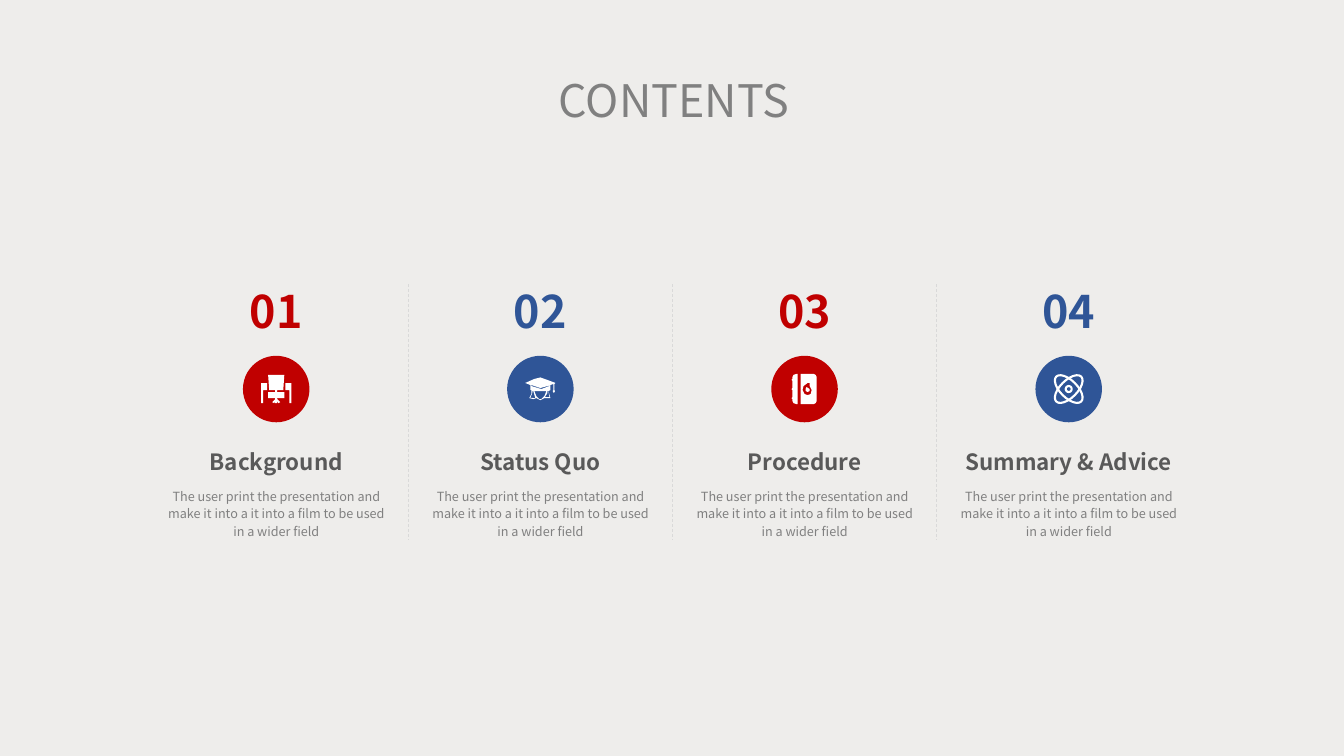
import functools

import lxml.etree
import pptx
import pptx.dml.color
import pptx.enum.dml
import pptx.enum.shapes
import pptx.enum.text
import pptx.oxml.ns
import pptx.util

Inches = pptx.util.Inches
OVAL = pptx.enum.shapes.MSO_SHAPE.OVAL
FONT = "Noto Sans CJK SC"
RED, BLUE, WHITE = "C00000", "2F5597", "FFFFFF"
DARK, GREY, PALE, PAPER = "595959", "808080", "D9D9D9", "EEEDEB"
SUMMARY = ("The user print the presentation and make it into a it into a film "
           "to be used in a wider field")
COLUMN_LEFT, COLUMN_TOP, COLUMN_WIDTH = 1.43, 2.77, 2.62


def color(value):
    return pptx.dml.color.RGBColor.from_string(value)


def mirror(points):
    return [(-x, y) for x, y in reversed(points)]


# Icon outlines, in hundredths of an inch from the centre of the disc.
DESK_LEFT = [(-15, -6), (-9, -6), (-9, 1), (-13, 1), (-13, 14), (-15, 14)]
CHAIR_HALF = [(8, -14), (7, 1), (1, 1), (1, 3), (8, 3), (8, 9), (1, 9), (1, 10),
              (4, 13), (2, 14), (1, 12), (1, 14)]
DESK = [DESK_LEFT, mirror(DESK_LEFT), CHAIR_HALF + mirror(CHAIR_HALF)]
GRADUATE = [
    [(-15, -6), (-6, -10), (0, -11.5), (7, -9), (15, -6), (13.8, -5), (13.8, 1),
     (14.5, 2), (13.5, 4), (12.2, 2), (13, 1), (13, -5), (10, -4), (10, 1), (8, 2),
     (10, 9), (4, 9), (0, 11), (-4, 9), (-7, 10), (-11, 9), (-9, 5), (-9, 1),
     (-10, 1), (-10, -4)],
    [(-5, 9), (-10, 8.7), (-8, 4), (-8, 2), (-7, 2)],
    [(-6, 2), (6, 2), (4, 7), (1, 10), (-1, 10), (-4, 7)],
    [(9, 8), (4.5, 8), (7, 4), (7, 2), (8, 2)],
    [(-9, -4), (0, -1), (9, -3.5), (9, -3), (1, 0), (-9, -3)],
]
NOTEBOOK = [
    [(-4, -15), (9, -15), (11, -14), (12, -12), (12, 12), (11, 14), (9, 15), (-4, 15)],
    [(-7, -15), (-8, -15), (-11, -14), (-12, -12), (-12, -10), (-13, -9), (-12, -8),
     (-12, -1), (-13, 0), (-12, 1), (-12, 8), (-13, 9), (-12, 10), (-12, 12),
     (-11, 14), (-8, 15), (-7, 15)],
    [(5, -6), (3, -6), (-1, -3), (-2, 1), (0, 5), (3, 6), (6, 5), (7, 1), (5, -3)],
    [(2, -2), (5, 0), (5, 2), (3, 3), (1, 2), (1, 0)],
]


def write(box, text, ink, line_spacing=None, **font):
    frame = box.text_frame
    frame.word_wrap = True
    frame.auto_size = pptx.enum.text.MSO_AUTO_SIZE.SHAPE_TO_FIT_TEXT
    frame.vertical_anchor = pptx.enum.text.MSO_ANCHOR.TOP
    para = frame.paragraphs[0]
    para.alignment = pptx.enum.text.PP_ALIGN.CENTER
    para.line_spacing = line_spacing
    span = para.add_run()
    span.text = text
    for name, value in {"name": FONT, **font}.items():
        setattr(span.font, name, value)
    span.font.color.rgb = color(ink)


def paint(shape, fill):
    shape.shadow.inherit = False
    shape.fill.solid()
    shape.fill.fore_color.rgb = color(fill)
    shape.line.fill.background()


def add_oval(shapes, center, middle, width, height):
    return shapes.add_shape(OVAL, Inches(center - width / 2), Inches(middle - height / 2),
                            Inches(width), Inches(height))


def add_outline_icon(shapes, center, middle, contours):
    scaled = [[(Inches(x / 100), Inches(y / 100)) for x, y in contour]
              for contour in contours]
    builder = shapes.build_freeform(*scaled[0][0], scale=1.0)
    for contour in scaled:
        if contour is not scaled[0]:
            builder.move_to(*contour[0])
        builder.add_line_segments(contour[1:], close=True)
    paint(builder.convert_to_shape(Inches(center), Inches(middle)), WHITE)


def add_atom_icon(shapes, center, middle):
    for width, height, turn in [(0.35, 0.17, 45), (0.35, 0.17, -45), (0.06, 0.06, 0)]:
        ring = add_oval(shapes, center, middle, width, height)
        ring.rotation = turn
        ring.shadow.inherit = False
        ring.fill.background()
        ring.line.color.rgb = color(WHITE)
        ring.line.width = pptx.util.Pt(1.5)


# Heading, width of its box, colour, icon
TOPICS = [
    ("Background", 1.92, RED, functools.partial(add_outline_icon, contours=DESK)),
    ("Status Quo", 1.92, BLUE, functools.partial(add_outline_icon, contours=GRADUATE)),
    ("Procedure", 1.92, RED, functools.partial(add_outline_icon, contours=NOTEBOOK)),
    ("Summary & Advice", 2.62, BLUE, add_atom_icon),
]


def add_topic(page, left, top, number, heading, heading_width, accent, add_icon):
    shapes = page.shapes.add_group_shape().shapes
    center, middle = left + COLUMN_WIDTH / 2, top + 1.09
    paint(add_oval(shapes, center, middle, 0.66, 0.66), accent)
    add_icon(shapes, center, middle)
    texts = [
        (0, 1.23, 0.64, f"{number:02}", accent, {"size": pptx.util.Pt(32), "bold": True}),
        (1.63, heading_width, 0.37, heading, DARK,
         {"size": pptx.util.Pt(16), "bold": True}),
        (2.01, 2.39, 0.59, SUMMARY, GREY,
         {"size": pptx.util.Pt(9), "line_spacing": 1.14}),
    ]
    for offset, width, height, text, ink, style in texts:
        box = shapes.add_textbox(Inches(center - width / 2), Inches(top + offset),
                                 Inches(width), Inches(height))
        write(box, text, ink, **style)


def add_divider(page, x, top, height):
    line = page.shapes.add_connector(
        pptx.enum.shapes.MSO_CONNECTOR.STRAIGHT,
        Inches(x), Inches(top), Inches(x), Inches(top + height))
    line.line.color.rgb = color(PALE)
    line.line.width = pptx.util.Pt(0.5)
    line.line.dash_style = pptx.enum.dml.MSO_LINE.DASH
    properties = line._element.spPr
    lxml.etree.SubElement(properties, pptx.oxml.ns.qn("a:effectLst"))


def add_title(page, left, top, width, height):
    title = page.shapes.title
    title.left, title.top = Inches(left), Inches(top)
    title.width, title.height = Inches(width), Inches(height)
    write(title, "CONTENTS", GREY, size=pptx.util.Pt(32))


def add_contents_page(deck):
    page = deck.slides.add_slide(deck.slide_layouts[5])
    page.background.fill.solid()
    page.background.fill.fore_color.rgb = color(PAPER)
    add_title(page, 4.78, 0.67, 3.81, 0.64)
    for index, topic in enumerate(TOPICS):
        left = COLUMN_LEFT + index * COLUMN_WIDTH
        if index:
            add_divider(page, left, COLUMN_TOP + 0.05, 2.53)
        add_topic(page, left, COLUMN_TOP, index + 1, *topic)


def main():
    deck = pptx.Presentation()
    deck.slide_width, deck.slide_height = Inches(13.33), Inches(7.5)
    add_contents_page(deck)
    deck.save("out.pptx")


if __name__ == "__main__":
    main()
